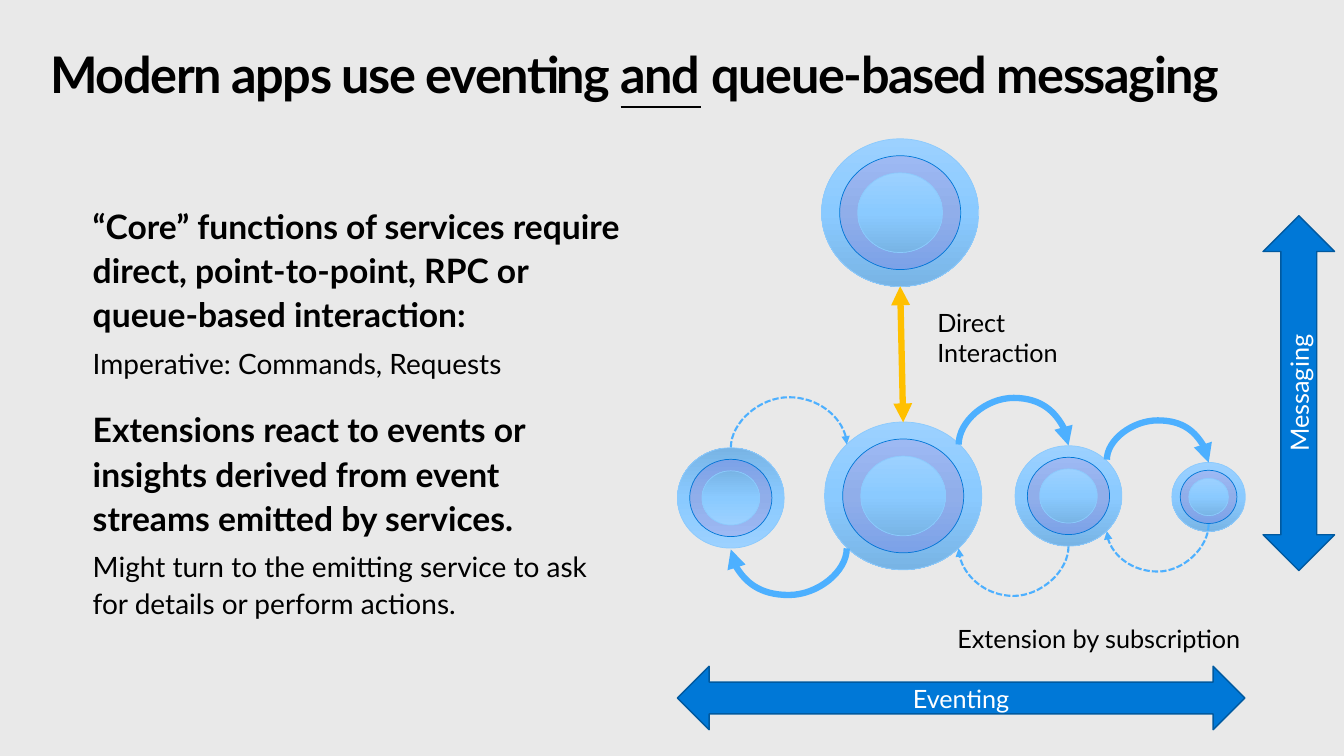
from copy import deepcopy
from dataclasses import dataclass

from lxml.etree import SubElement
from pptx import Presentation
from pptx.dml.color import RGBColor
from pptx.enum.dml import MSO_LINE
from pptx.enum.shapes import MSO_CONNECTOR, MSO_SHAPE
from pptx.enum.text import MSO_ANCHOR, MSO_AUTO_SIZE, PP_ALIGN
from pptx.oxml.ns import qn
from pptx.util import Inches, Pt

CELL = Inches(0.1)
COLUMNS, ROWS = 133.33, 75
FONT = "Lato"
BLACK = RGBColor(0x00, 0x00, 0x00)
WHITE = RGBColor(0xFF, 0xFF, 0xFF)
BACKDROP = RGBColor(0xE9, 0xE9, 0xE9)
AXIS_FILL = RGBColor(0x00, 0x78, 0xD7)
AXIS_EDGE = RGBColor(0x00, 0x59, 0x9F)
EVENT_BLUE = RGBColor(0x4D, 0xB0, 0xFF)
DIRECT_GOLD = RGBColor(0xFF, 0xC0, 0x00)
DISC_EDGE = RGBColor(0x8C, 0xCA, 0xFD)
DISC_SHADES = (RGBColor(0x9C, 0xD1, 0xFF), RGBColor(0x8A, 0xCA, 0xFF), RGBColor(0x78, 0xB4, 0xE5))
RING_SHADES = (RGBColor(0x9D, 0xB9, 0xF3), RGBColor(0x90, 0xAE, 0xEA), RGBColor(0x7C, 0xA2, 0xE8))
DISC_RATIO = 0.94


@dataclass(frozen=True)
class Service:
    column: float
    row: float
    diameter: float
    dark_on_top: bool = False


@dataclass(frozen=True)
class Layer:
    share: float
    shades: tuple
    edge: RGBColor


@dataclass(frozen=True)
class Flow:
    start: tuple
    end: tuple
    bend_row: float
    reply: bool = False


@dataclass(frozen=True)
class Axis:
    label: str
    kind: MSO_SHAPE
    area: tuple
    upright: bool = False


@dataclass(frozen=True)
class Statement:
    text: str
    size: int
    bold: bool
    before: int


@dataclass(frozen=True)
class Caption:
    text: str
    area: tuple


LAYERS = (
    Layer(1, DISC_SHADES, DISC_EDGE),
    Layer(0.77, RING_SHADES, AXIS_FILL),
    Layer(0.54, DISC_SHADES, DISC_EDGE),
)
SERVICES = (
    Service(72.5, 49.4, 10.6, dark_on_top=True),
    Service(89.6, 49.2, 15.6),
    Service(106, 49.2, 10.6),
    Service(119.9, 49.3, 7.3),
    Service(89.3, 21.1, 15.6),
)
FLOWS = (
    Flow((84, 54.4), (72.5, 54.5), 59.1),
    Flow((95.1, 44.1), (106, 44.2), 39.4),
    Flow((72.5, 44.4), (84, 44.1), 39.4, reply=True),
    Flow((106, 54.2), (95.1, 54.4), 59.1, reply=True),
    Flow((109.8, 45.6), (119.9, 45.9), 41.7),
    Flow((119.9, 52), (109.8, 52.7), 56.7, reply=True),
)
AXES = (
    Axis("Messaging", MSO_SHAPE.UP_DOWN_ARROW, (125.3, 21.4, 7.1, 35.2), upright=True),
    Axis("Eventing", MSO_SHAPE.LEFT_RIGHT_ARROW, (67.2, 66.1, 56.3, 6.3)),
)
STATEMENTS = (
    Statement("“Core” functions of services require direct, point-to-point, RPC or queue-based interaction:", 24, True, 0),
    Statement("Imperative: Commands, Requests", 20, False, 0),
    Statement("Extensions react to events or insights derived from event streams emitted by services.", 24, True, 12),
    Statement("Might turn to the emitting service to ask for details or perform actions.", 20, False, 0),
)
CAPTIONS = (
    Caption("Direct\vInteraction", (92, 30, 21.2, 7)),
    Caption("Extension by subscription", (94, 61.3, 30.3, 4)),
)


def grid(*cells: float) -> list[int]:
    return [round(cell * CELL) for cell in cells]


def write(paragraph, text: str, *, size: int = 18, color: RGBColor = BLACK,
          bold: bool = False, underline: bool = False, tracking: int = 0) -> None:
    for index, line in enumerate(text.split("\v")):
        if index:
            paragraph.add_line_break()
        run = paragraph.add_run()
        run.text = line
        run.font.name, run.font.size = FONT, Pt(size)
        run.font.bold, run.font.underline = bold, underline
        run.font.color.rgb = color
        if tracking:
            run.font._element.set("spc", str(tracking * 100))


def clear_margins(frame) -> None:
    frame.margin_left = frame.margin_right = frame.margin_top = frame.margin_bottom = 0


def draw_title(slide) -> None:
    title = slide.shapes.title
    title.left, title.top, title.width, title.height = grid(5, 5, 123.3, 7.8)
    frame = title.text_frame
    clear_margins(frame)
    frame.auto_size, frame.vertical_anchor = MSO_AUTO_SIZE.NONE, MSO_ANCHOR.TOP
    heading = frame.paragraphs[0]
    heading.alignment, heading.line_spacing = PP_ALIGN.LEFT, 0.9
    for text in ("Modern apps use eventing ", "and", " queue-based messaging"):
        write(heading, text, size=36, bold=True, underline=text == "and", tracking=-1)


def draw_statements(slide) -> None:
    frame = slide.shapes.add_textbox(*grid(9.2, 20, 52.5, 47.6)).text_frame
    clear_margins(frame)
    frame.word_wrap = True
    for index, statement in enumerate(STATEMENTS):
        paragraph = frame.add_paragraph() if index else frame.paragraphs[0]
        paragraph.line_spacing = 1.1
        paragraph.space_before, paragraph.space_after = Pt(statement.before), Pt(6)
        write(paragraph, statement.text, size=statement.size, bold=statement.bold)


def draw_service(slide, service: Service) -> None:
    for layer in LAYERS:
        width = service.diameter * layer.share
        height = width * DISC_RATIO
        disc = slide.shapes.add_shape(MSO_SHAPE.OVAL, *grid(
            service.column - width / 2, service.row - height / 2, width, height))
        disc.shadow.inherit = False
        disc.fill.gradient()
        disc.fill.gradient_angle = 90 if service.dark_on_top else 270
        stops = disc.element.spPr.find(f".//{qn('a:gsLst')}")
        stops.append(deepcopy(stops[0]))
        for stop, shade, position in zip(disc.fill.gradient_stops, layer.shades, (0, 0.5, 1)):
            stop.color.rgb, stop.position = shade, position
        disc.line.color.rgb, disc.line.width = layer.edge, Pt(0.5)


def style_arrow(arrow, color: RGBColor, weight: float, ends: tuple) -> None:
    arrow.line.color.rgb, arrow.line.width = color, Pt(weight)
    properties = arrow.element.spPr
    for end in ends:
        SubElement(properties.get_or_add_ln(), qn(f"a:{end}")).set("type", "triangle")
    SubElement(properties, qn("a:effectLst"))


def draw_flow(slide, flow: Flow) -> None:
    (x0, y0), (x1, y1) = flow.start, flow.end
    rise, reach = abs(y1 - y0), abs(x1 - x0)
    left, top = (x0 + x1 - rise) / 2, (y0 + y1 - reach) / 2
    arrow = slide.shapes.add_connector(
        MSO_CONNECTOR.CURVE, *grid(left, top, left + rise, top + reach))
    rightward, downward = x1 > x0, y1 > y0
    properties = arrow.element.spPr
    turn = 270 if rightward and downward else 90
    properties.xfrm.set("rot", str(turn * 60000))
    properties.xfrm.set("flipH", str(int(rightward)))
    properties.xfrm.set("flipV", str(int(not downward)))
    guide = SubElement(properties.find(f".//{qn('a:avLst')}"), qn("a:gd"))
    guide.set("name", "adj1")
    guide.set("fmla", f"val {round((flow.bend_row - y0) / (y1 - y0) * 100000)}")
    if flow.reply:
        arrow.line.dash_style = MSO_LINE.SQUARE_DOT
    style_arrow(arrow, EVENT_BLUE, 1.5 if flow.reply else 4.5, ("tailEnd",))


def draw_axis(slide, axis: Axis) -> None:
    arrow = slide.shapes.add_shape(axis.kind, *grid(*axis.area))
    arrow.shadow.inherit = False
    arrow.fill.solid()
    arrow.fill.fore_color.rgb = AXIS_FILL
    arrow.line.color.rgb, arrow.line.width = AXIS_EDGE, Pt(1)
    frame = arrow.text_frame
    frame.vertical_anchor = MSO_ANCHOR.MIDDLE
    if axis.upright:
        frame._txBody.bodyPr.set("vert", "vert270")
    frame.paragraphs[0].alignment = PP_ALIGN.CENTER
    write(frame.paragraphs[0], axis.label, color=WHITE)


def main() -> None:
    deck = Presentation()
    deck.slide_width, deck.slide_height = grid(COLUMNS, ROWS)
    slide = deck.slides.add_slide(deck.slide_layouts[5])
    slide.background.fill.solid()
    slide.background.fill.fore_color.rgb = BACKDROP
    draw_title(slide)
    draw_statements(slide)
    for service in SERVICES:
        draw_service(slide, service)
    for flow in FLOWS:
        draw_flow(slide, flow)
    direct = slide.shapes.add_connector(MSO_CONNECTOR.STRAIGHT, *grid(89.3, 28.4, 89.6, 41.9))
    style_arrow(direct, DIRECT_GOLD, 4.5, ("headEnd", "tailEnd"))
    for caption in CAPTIONS:
        frame = slide.shapes.add_textbox(*grid(*caption.area)).text_frame
        frame.word_wrap = False
        write(frame.paragraphs[0], caption.text)
    for axis in AXES:
        draw_axis(slide, axis)
    deck.save("out.pptx")


if __name__ == "__main__":
    main()
